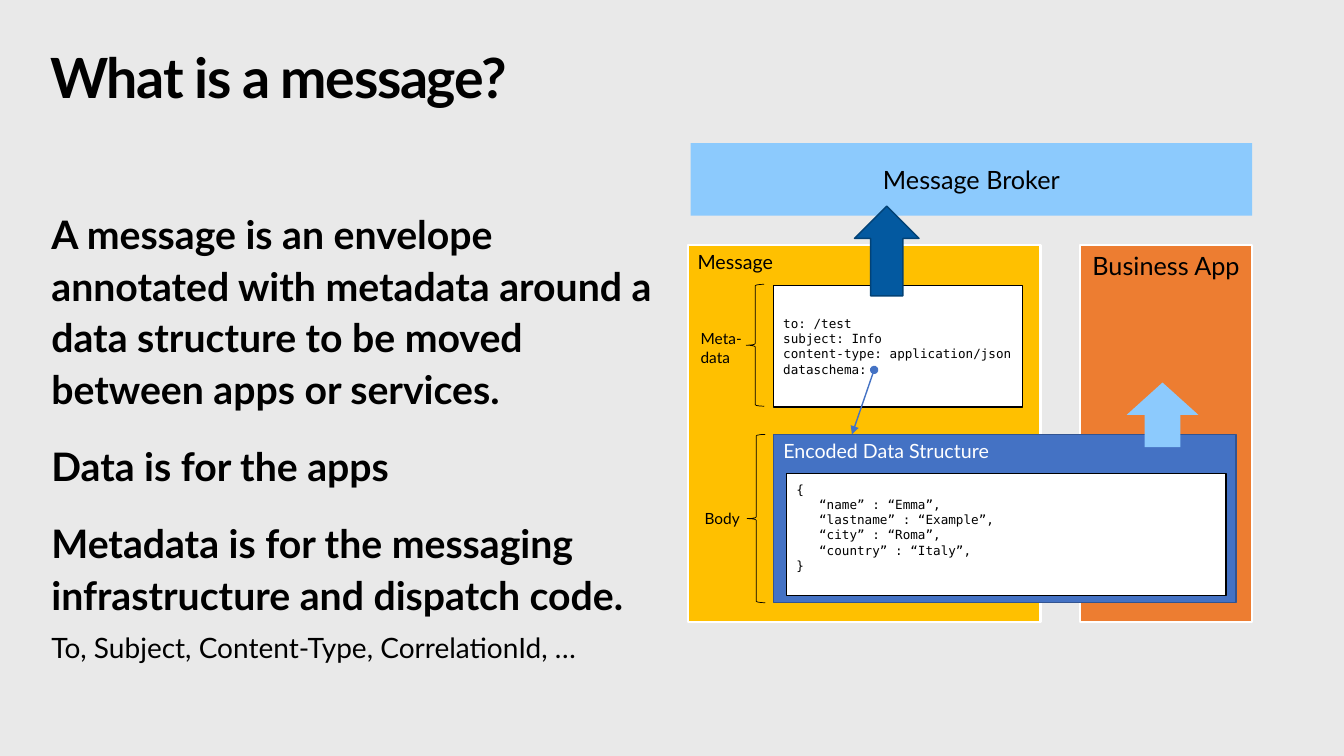
"""Build the slide that explains what a message is."""
import pptx
import pptx.util
import pptx.dml.color
import pptx.enum.shapes
import pptx.enum.text
import pptx.oxml
import pptx.oxml.ns

Inches, Pt = pptx.util.Inches, pptx.util.Pt
rgb = pptx.dml.color.RGBColor.from_string
SHAPE = pptx.enum.shapes.MSO_SHAPE
ANCHOR = pptx.enum.text.MSO_ANCHOR
ALIGN = pptx.enum.text.PP_ALIGN
MONO = "DejaVu Sans Mono"


def write(p, text, size, font="Lato", color="000000", bold=False):
    for i, line in enumerate(text.split("\n")):
        if i:
            p.add_line_break()
        r = p.add_run()
        r.text = line
        r.font.size = Pt(size)
        r.font.name = font
        r.font.bold = bold
        r.font.color.rgb = rgb(color)


def draw(kind, at, fill=None, line=None, width=1):
    sp = s.shapes.add_shape(kind, *map(Inches, at))
    sp.shadow.inherit = False
    if fill:
        sp.fill.solid()
        sp.fill.fore_color.rgb = rgb(fill)
    else:
        sp.fill.background()
    if line:
        sp.line.color.rgb = rgb(line)
        sp.line.width = Pt(width)
    else:
        sp.line.fill.background()
    return sp


prs = pptx.Presentation()
prs.slide_width, prs.slide_height = Inches(13.33), Inches(7.5)
s = prs.slides.add_slide(prs.slide_layouts[6])
s.background.fill.solid()
s.background.fill.fore_color.rgb = rgb("E9E9E9")

frames = []
for at in [(0.5, 0.5, 12.33, 0.65), (0.51, 2.04, 6.18, 4.94)]:
    tf = s.shapes.add_textbox(*map(Inches, at)).text_frame
    tf.word_wrap = True
    tf.margin_left = tf.margin_right = tf.margin_top = tf.margin_bottom = 0
    frames.append(tf)
title, body = frames

p = title.paragraphs[0]
p.line_spacing = 0.9
write(p, "What is a message?", 39.6, bold=True)
p.runs[0].font._element.set("spc", "-100")

points = [
    ("A message is an envelope annotated with metadata around a data structure "
     "to be moved between apps or services.", 28, True, 0),
    ("Data is for the apps", 28, True, 12),
    ("Metadata is for the messaging infrastructure and dispatch code.", 28, True, 12),
    ("To, Subject, Content-Type, CorrelationId, …", 20, False, 0),
]
for i, (text, size, bold, before) in enumerate(points):
    p = body.add_paragraph() if i else body.paragraphs[0]
    p.line_spacing = 1.1
    p.space_before, p.space_after = Pt(before), Pt(6)
    write(p, text, size, bold=bold)

headers = """to: /test
subject: Info
content-type: application/json
dataschema:"""
payload = """{
   “name” : “Emma”,
   “lastname” : “Example”,
   “city” : “Roma”,
   “country” : “Italy”,
}"""
boxes = [
    ((6.85, 1.42, 5.57, 0.72), "8CCAFD", None, 0,
     "Message Broker", 18, "Lato", "000000", ALIGN.CENTER, ANCHOR.MIDDLE),
    ((10.71, 2.43, 1.71, 3.74), "ED7D31", "FFFFFF", 1.5,
     "Business App", 18, "Lato", "000000", ALIGN.CENTER, ANCHOR.TOP),
    ((6.82, 2.43, 3.5, 3.74), "FFC000", "FFFFFF", 1.5,
     "Message", 14, "Lato", "000000", ALIGN.LEFT, ANCHOR.TOP),
    ((7.67, 4.31, 4.59, 1.67), "4472C4", "325491", 1,
     "Encoded Data Structure", 14, "Lato", "FFFFFF", ALIGN.LEFT, ANCHOR.TOP),
    ((7.8, 4.7, 4.36, 1.21), "FFFFFF", "000000", 1,
     payload, 9, MONO, "000000", ALIGN.LEFT, ANCHOR.TOP),
    ((7.67, 2.83, 2.47, 1.21), "FFFFFF", "000000", 1,
     headers, 9, MONO, "000000", ALIGN.LEFT, ANCHOR.MIDDLE),
]
for at, fill, line, width, text, size, font, color, align, anchor in boxes:
    tf = draw(SHAPE.RECTANGLE, at, fill, line, width).text_frame
    tf.word_wrap = True
    tf.vertical_anchor = anchor
    if text == payload:
        tf.margin_top = Inches(0.08)
    p = tf.paragraphs[0]
    p.alignment = align
    write(p, text, size, font, color)

link = s.shapes.add_connector(pptx.enum.shapes.MSO_CONNECTOR.STRAIGHT,
                              Inches(8.67), Inches(3.67), Inches(8.45), Inches(4.31))
link.line.color.rgb = rgb("4472C4")
link.line.width = Pt(1)
ln = link.line._get_or_add_ln()
ns = pptx.oxml.ns.nsdecls("a")
for end, kind in [("headEnd", "oval"), ("tailEnd", "triangle")]:
    ln.append(pptx.oxml.parse_xml(f'<a:{end} {ns} type="{kind}"/>'))
link._element.spPr.append(pptx.oxml.parse_xml(f"<a:effectLst {ns}/>"))

parts = [
    ("Body", (6.89, 5, 0.55, 0.29), (7.41, 4.31, 0.18, 1.67)),
    ("Meta-\ndata", (6.85, 3.22, 0.61, 0.47), (7.4, 2.82, 0.18, 1.21)),
]
for label, label_at, brace_at in parts:
    tf = s.shapes.add_textbox(*map(Inches, label_at)).text_frame
    tf.word_wrap = False
    tf.auto_size = pptx.enum.text.MSO_AUTO_SIZE.SHAPE_TO_FIT_TEXT
    write(tf.paragraphs[0], label, 11)
    draw(SHAPE.LEFT_BRACE, brace_at, line="000000", width=0.5)

for at, fill, line in [((11.21, 3.76, 0.64, 0.71), "8CCAFD", None),
                       ((8.35, 2.17, 0.89, 0.64), "0359A0", "024276")]:
    draw(SHAPE.RIGHT_ARROW, at, fill, line).rotation = 270

prs.save("out.pptx")
